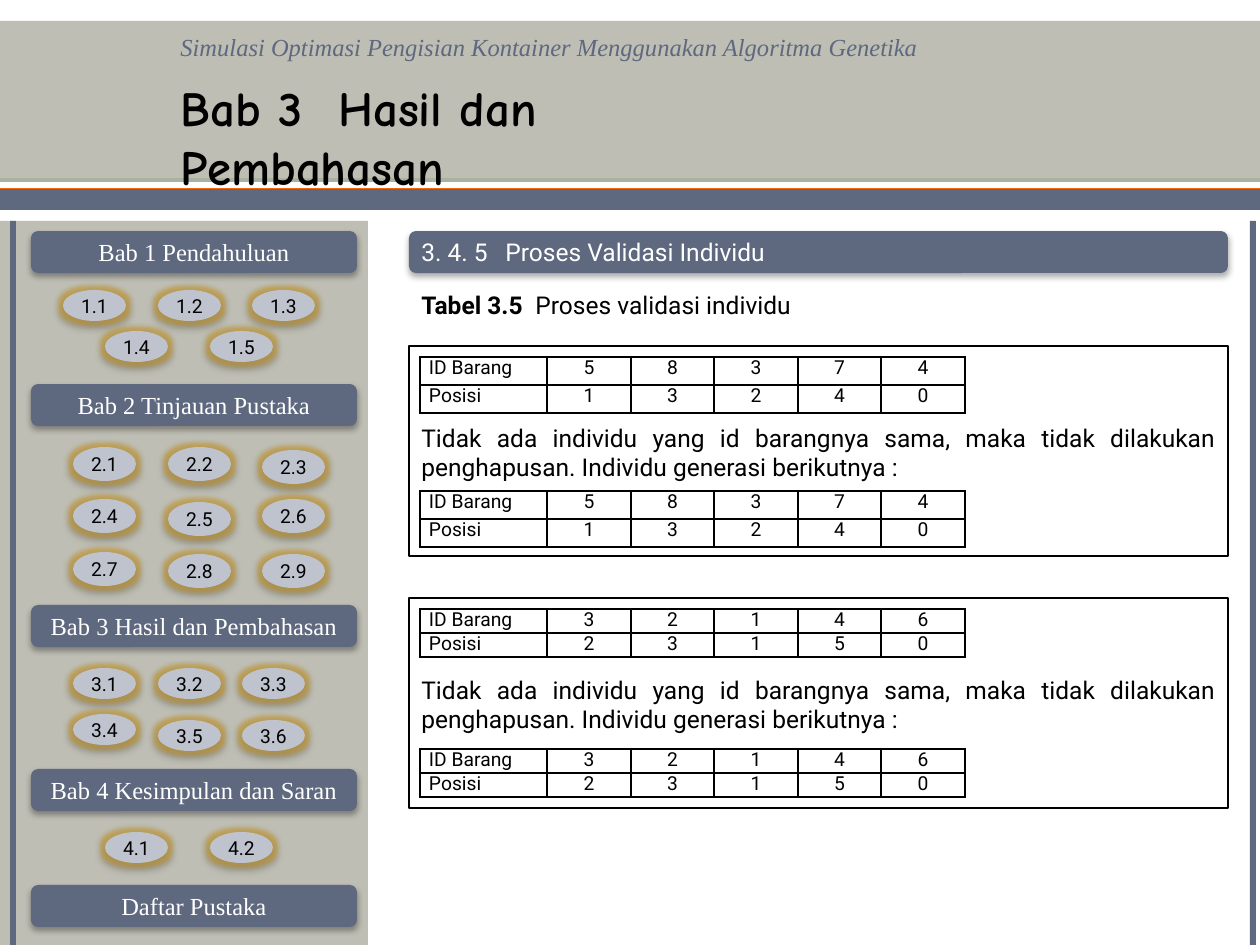
from typing import NamedTuple

from lxml import etree
from pptx import Presentation
from pptx import util as u
from pptx.dml.color import RGBColor
from pptx.enum import shapes as sh, text as tx
from pptx.oxml.ns import qn

NAVY, STONE, PALE, GOLD = "5E687E", "BEBEB4", "BEC3CE", "C99A2E"
BLACK, WHITE = "000000", "FFFFFF"
SERIF, SANS, COMIC = "Times New Roman", "Roboto", "Comic Neue"
BAR, OVAL, RECT = (sh.MSO_SHAPE.FLOWCHART_ALTERNATE_PROCESS,
                   sh.MSO_SHAPE.OVAL, sh.MSO_SHAPE.RECTANGLE)
LEFT, MID, FULL = tx.PP_ALIGN.LEFT, tx.PP_ALIGN.CENTER, tx.PP_ALIGN.JUSTIFY
COLS = (127, 84, 83, 84, 83, 84)
NOTE = ("Tidak ada individu yang id barangnya sama, maka tidak dilakukan "
        "penghapusan. Individu generasi berikutnya :")


class Box(NamedTuple):
    x: int
    y: int
    w: int
    h: int


class Font(NamedTuple):
    name: str
    size: int
    color: str = BLACK
    bold: bool = False
    slant: bool = False


class Band(NamedTuple):
    box: Box
    color: str


class Part(NamedTuple):
    title: str
    top: int
    tall: int = 0
    spots: tuple = ()


class Case(NamedTuple):
    top: int
    row: int
    tops: tuple
    ids: str
    slots: str


BANDS = (
    Band(Box(0, 23, 1260, 159), "ABB19F"),
    Band(Box(0, 188, 1260, 20), "F4680B"),
    Band(Box(0, 21, 1260, 157), STONE),
    Band(Box(0, 189, 1260, 21), NAVY),
    Band(Box(1250, 221, 6, 724), NAVY),
    Band(Box(0, 221, 368, 724), STONE),
    Band(Box(10, 221, 6, 724), NAVY),
)
PARTS = (
    Part("Bab 1 Pendahuluan", 231, 31,
         ((63, 290), (158, 290), (252, 290), (105, 331), (210, 331))),
    Part("Bab 2 Tinjauan Pustaka", 384, 34,
         ((73, 447), (168, 447), (262, 450), (73, 499), (168, 502),
          (262, 499), (73, 552), (168, 554), (262, 554))),
    Part("Bab 3 Hasil dan Pembahasan", 605, 31,
         ((73, 668), (158, 668), (242, 668),
          (73, 714), (158, 720), (242, 720))),
    Part("Bab 4 Kesimpulan dan Saran", 769, 31, ((105, 832), (210, 832))),
    Part("Daftar Pustaka", 885),
)
CASES = (
    Case(346, 28, (357, 491), "58374", "13240"),
    Case(598, 24, (609, 749), "32146", "23150"),
)


def px(n: int) -> u.Emu:
    """Turn pixels into EMU."""
    return u.Emu(round(n * 914400 / 126))


def rgb(code: str) -> RGBColor:
    """Turn a hex string into a colour."""
    return RGBColor.from_string(code)


def node(root, tag: str, **attrs):
    """Append a drawing element."""
    return etree.SubElement(root, qn("a:" + tag), attrs)


def tint(root, code: str, alpha: int) -> None:
    """Append a partly clear colour, alpha in percent."""
    node(node(root, "srgbClr", val=code), "alpha", val=str(alpha * 1000))


def write(para, words: str, font: Font) -> None:
    """Add one run to a paragraph."""
    run = para.add_run()
    run.text = words
    run.font.name, run.font.size = font.name, u.Pt(font.size)
    run.font.bold, run.font.italic = font.bold, font.slant
    run.font.color.rgb = rgb(font.color)


def shape(slide, kind, box: Box, color: str = ""):
    """Draw a preset shape, filled without line or hollow with a thin line."""
    item = slide.shapes.add_shape(kind, *map(px, box))
    item.shadow.inherit = False
    if color:
        item.fill.solid()
        item.fill.fore_color.rgb = rgb(color)
        item.line.fill.background()
    else:
        item.fill.background()
        item.line.color.rgb, item.line.width = rgb(BLACK), u.Pt(0.75)
    return item


def lift(item, glow: bool = False) -> None:
    """Give a shape its soft shadow and, if asked, a golden glow."""
    root = item.element.spPr.find(qn("a:effectLst"))
    if glow:
        tint(node(root, "glow", rad="63500"), GOLD, 60)
    tint(node(root, "outerShdw", blurRad="44450", dist="27940",
              dir="5400000", rotWithShape="0"), BLACK, 32)


def label(item, words: str, font: Font, inset: bool = True) -> None:
    """Centre one line of text in a shape."""
    frame = item.text_frame
    frame.vertical_anchor = tx.MSO_ANCHOR.MIDDLE
    if not inset:
        frame.margin_left = frame.margin_right = 0
        frame.margin_top = frame.margin_bottom = 0
    frame.paragraphs[0].alignment = MID
    write(frame.paragraphs[0], words, font)


def line(slide, box: Box, runs: tuple, stop: int = 0) -> None:
    """Add a text box of (words, font) runs with an optional tab stop."""
    frame = slide.shapes.add_textbox(*map(px, box)).text_frame
    frame.word_wrap = True
    para = frame.paragraphs[0]
    if stop:
        tabs = node(para._p.get_or_add_pPr(), "tabLst")
        node(tabs, "tab", pos=str(px(stop)), algn="l")
    for words, font in runs:
        write(para, words, font)


def menu(slide, part: Part, num: int) -> None:
    """Draw a chapter bar and its section ovals."""
    bar = shape(slide, BAR, Box(31, part.top, 326, 42), NAVY)
    lift(bar)
    label(bar, part.title, Font(SERIF, 14, WHITE))
    for i, (x, y) in enumerate(part.spots, 1):
        oval = shape(slide, OVAL, Box(x, y, 63, part.tall), PALE)
        lift(oval, glow=True)
        label(oval, f"{num}.{i}", Font(SANS, 11), inset=False)


def grid(slide, case: Case, top: int) -> None:
    """Draw a table of item ids and positions."""
    box = Box(420, top, sum(COLS), 2 * case.row)
    table = slide.shapes.add_table(2, len(COLS), *map(px, box)).table
    table.first_row = table.horz_banding = False
    for col, wide in zip(table.columns, COLS):
        col.width = px(wide)
    rows = (("ID Barang", *case.ids), ("Posisi", *case.slots))
    for r, row in enumerate(rows):
        table.rows[r].height = px(case.row)
        for c, words in enumerate(row):
            cell = table.cell(r, c)
            cell.margin_left = cell.margin_right = px(9)
            cell.margin_top = cell.margin_bottom = 0
            para = cell.text_frame.paragraphs[0]
            para.alignment = MID if c else LEFT
            write(para, words, Font(SANS, 11))
            for side in ("lnL", "lnR", "lnT", "lnB"):
                edge = node(cell._tc.get_or_add_tcPr(), side, w="12700")
                tint(node(edge, "solidFill"), BLACK, 100)
            cell.fill.background()


def panel(slide, case: Case) -> None:
    """Draw a framed note with a table above and below it."""
    frame = shape(slide, RECT, Box(409, case.top, 819, 210)).text_frame
    frame.vertical_anchor = tx.MSO_ANCHOR.TOP
    frame.margin_top = px(77)
    frame.paragraphs[0].alignment = FULL
    write(frame.paragraphs[0], NOTE, Font(SANS, 14))
    for top in case.tops:
        grid(slide, case, top)


def main() -> None:
    """Build the slide and save it."""
    deck = Presentation()
    deck.slide_width, deck.slide_height = px(1260), px(945)
    slide = deck.slides.add_slide(deck.slide_layouts[6])
    for band in BANDS:
        shape(slide, RECT, band.box, band.color)
    lift(shape(slide, BAR, Box(409, 231, 819, 42), NAVY))
    for num, part in enumerate(PARTS, 1):
        menu(slide, part, num)
    line(slide, Box(168, 26, 1092, 43),
         (("Simulasi Optimasi Pengisian Kontainer Menggunakan "
           "Algoritma Genetika", Font(SERIF, 14, NAVY, slant=True)),))
    line(slide, Box(168, 71, 651, 72),
         (("Bab 3\tHasil dan Pembahasan", Font(COMIC, 28, bold=True)),), 158)
    line(slide, Box(409, 231, 819, 43),
         (("3. 4. 5\tProses Validasi Individu", Font(SANS, 14, WHITE)),), 84)
    line(slide, Box(409, 284, 809, 43),
         (("Tabel 3.5", Font(SANS, 14, bold=True)),
          ("\tProses validasi individu", Font(SANS, 14))), 114)
    for case in CASES:
        panel(slide, case)
    deck.save("out.pptx")


if __name__ == "__main__":
    main()
